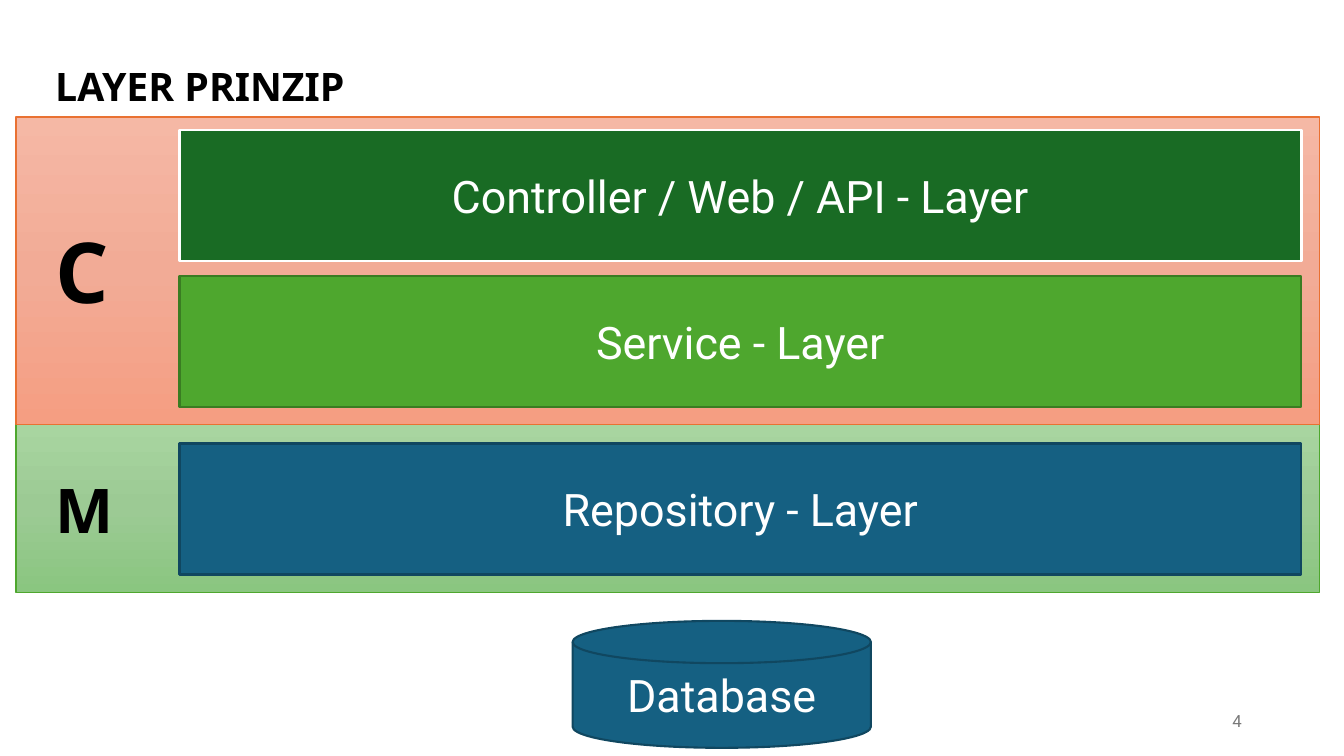
from dataclasses import dataclass

from lxml import etree
from pptx import Presentation
from pptx.dml.color import RGBColor
from pptx.enum.shapes import MSO_SHAPE
from pptx.enum.text import MSO_ANCHOR, MSO_AUTO_SIZE, PP_ALIGN
from pptx.oxml.ns import qn
from pptx.shapes.autoshape import Shape
from pptx.slide import Slide
from pptx.util import Pt

RECTANGLE = MSO_SHAPE.RECTANGLE
DISK = MSO_SHAPE.FLOWCHART_MAGNETIC_DISK
TOP, MIDDLE = MSO_ANCHOR.TOP, MSO_ANCHOR.MIDDLE
LEFT, CENTER, RIGHT = PP_ALIGN.LEFT, PP_ALIGN.CENTER, PP_ALIGN.RIGHT
FIT_SHAPE = MSO_AUTO_SIZE.SHAPE_TO_FIT_TEXT


@dataclass(frozen=True)
class Theme:
    heading_font: str = "Noto Sans"
    body_font: str = "Roboto"
    black: str = "000000"
    white: str = "FFFFFF"
    grey: str = "797979"
    dark_green: str = "196B24"
    green: str = "4EA72E"
    green_edge: str = "3A7C22"
    blue: str = "156082"
    blue_edge: str = "104760"
    orange: str = "E97132"
    model_fade: tuple[str, ...] = ("A8D5A0", "9CCA94", "8AC680")
    controller_fade: tuple[str, ...] = ("F5B8A5", "F2AB96", "F59E82")
    title_size: float = 28
    layer_size: float = 32
    controller_size: float = 60
    model_size: float = 44
    number_size: float = 12


THEME = Theme()


@dataclass(frozen=True)
class Box:
    left: float
    top: float
    width: float
    height: float


@dataclass(frozen=True)
class Band:
    box: Box
    fade: tuple[str, ...]
    edge: str


@dataclass(frozen=True)
class Layer:
    name: str
    box: Box
    fill: str
    edge: str
    edge_width: float = 1.5
    outline: MSO_SHAPE = RECTANGLE


@dataclass(frozen=True)
class Label:
    text: str
    box: Box
    size: float
    font: str = THEME.heading_font
    color: str = THEME.black
    bold: bool = True
    align: PP_ALIGN = LEFT
    anchor: MSO_ANCHOR = MIDDLE
    grows: bool = False
    wraps: bool = True
    line_spacing: float = 1.0


def layer_box(top: float) -> Box:
    return Box(128.2, top, 801.4, 93.6)


BANDS = (
    Band(Box(11.5, 302.4, 931, 121), THEME.model_fade, THEME.green),
    Band(Box(11.5, 83.5, 931, 219.6), THEME.controller_fade, THEME.orange),
)
LAYERS = (
    Layer("Controller / Web / API - Layer", layer_box(92.9),
          THEME.dark_green, THEME.white, 2),
    Layer("Service - Layer", layer_box(197.3), THEME.green, THEME.green_edge),
    Layer("Repository - Layer", layer_box(316.8), THEME.blue, THEME.blue_edge),
    Layer("Database", Box(409, 443.5, 213.1, 90.7),
          THEME.blue, THEME.blue_edge, outline=DISK),
)
LABELS = (
    Label("4", Box(678.2, 500.4, 216, 28.8), THEME.number_size,
          THEME.body_font, THEME.grey, bold=False, align=RIGHT),
    Label("LAYER PRINZIP", Box(32.4, 34.6, 895.7, 58.3), THEME.title_size,
          line_spacing=0.9),
    Label("C", Box(32.4, 153.4, 54.7, 79.9), THEME.controller_size,
          anchor=TOP, grows=True, wraps=False),
    Label("M", Box(32.4, 333.4, 54.7, 60.5), THEME.model_size,
          anchor=TOP, grows=True),
)


def rgb(color: str) -> RGBColor:
    return RGBColor.from_string(color)


def points(box: Box) -> tuple[Pt, Pt, Pt, Pt]:
    return Pt(box.left), Pt(box.top), Pt(box.width), Pt(box.height)


def write(shape: Shape, text: str, size: float, font: str, color: str,
          bold: bool, align: PP_ALIGN, anchor: MSO_ANCHOR) -> None:
    shape.text_frame.vertical_anchor = anchor
    paragraph = shape.text_frame.paragraphs[0]
    paragraph.alignment = align
    run = paragraph.add_run()
    run.text = text
    run.font.size = Pt(size)
    run.font.name = font
    run.font.bold = bold
    run.font.color.rgb = rgb(color)


def add_outlined(slide: Slide, outline: MSO_SHAPE, box: Box,
                 edge: str, edge_width: float) -> Shape:
    shape = slide.shapes.add_shape(outline, *points(box))
    shape.shadow.inherit = False
    shape.line.color.rgb = rgb(edge)
    shape.line.width = Pt(edge_width)
    return shape


def fade_down(shape: Shape, colors: tuple[str, ...]) -> None:
    """Fill the shape from top to bottom with evenly spaced colours."""
    shape.fill.gradient()
    shape.fill.gradient_angle = 270
    stops = shape.fill._xPr.find(qn("a:gradFill")).find(qn("a:gsLst"))
    for stop in list(stops):
        stops.remove(stop)
    for index, color in enumerate(colors):
        position = 100000 * index // (len(colors) - 1)
        stop = etree.SubElement(stops, qn("a:gs"), pos=str(position))
        etree.SubElement(stop, qn("a:srgbClr"), val=color)


def add_band(slide: Slide, band: Band) -> None:
    shape = add_outlined(slide, RECTANGLE, band.box, band.edge, 1)
    fade_down(shape, band.fade)


def add_layer(slide: Slide, layer: Layer) -> None:
    shape = add_outlined(slide, layer.outline, layer.box,
                         layer.edge, layer.edge_width)
    shape.fill.solid()
    shape.fill.fore_color.rgb = rgb(layer.fill)
    write(shape, layer.name, THEME.layer_size, THEME.body_font,
          THEME.white, False, CENTER, MIDDLE)


def add_label(slide: Slide, label: Label) -> None:
    shape = slide.shapes.add_textbox(*points(label.box))
    frame = shape.text_frame
    frame.word_wrap = label.wraps
    if label.grows:
        frame.auto_size = FIT_SHAPE
    write(shape, label.text, label.size, label.font, label.color,
          label.bold, label.align, label.anchor)
    frame.paragraphs[0].line_spacing = label.line_spacing


def main() -> None:
    presentation = Presentation()
    presentation.slide_width, presentation.slide_height = Pt(960), Pt(540)
    slide = presentation.slides.add_slide(presentation.slide_layouts[6])
    for band in BANDS:
        add_band(slide, band)
    for layer in LAYERS:
        add_layer(slide, layer)
    for label in LABELS:
        add_label(slide, label)
    presentation.save("out.pptx")


if __name__ == "__main__":
    main()
